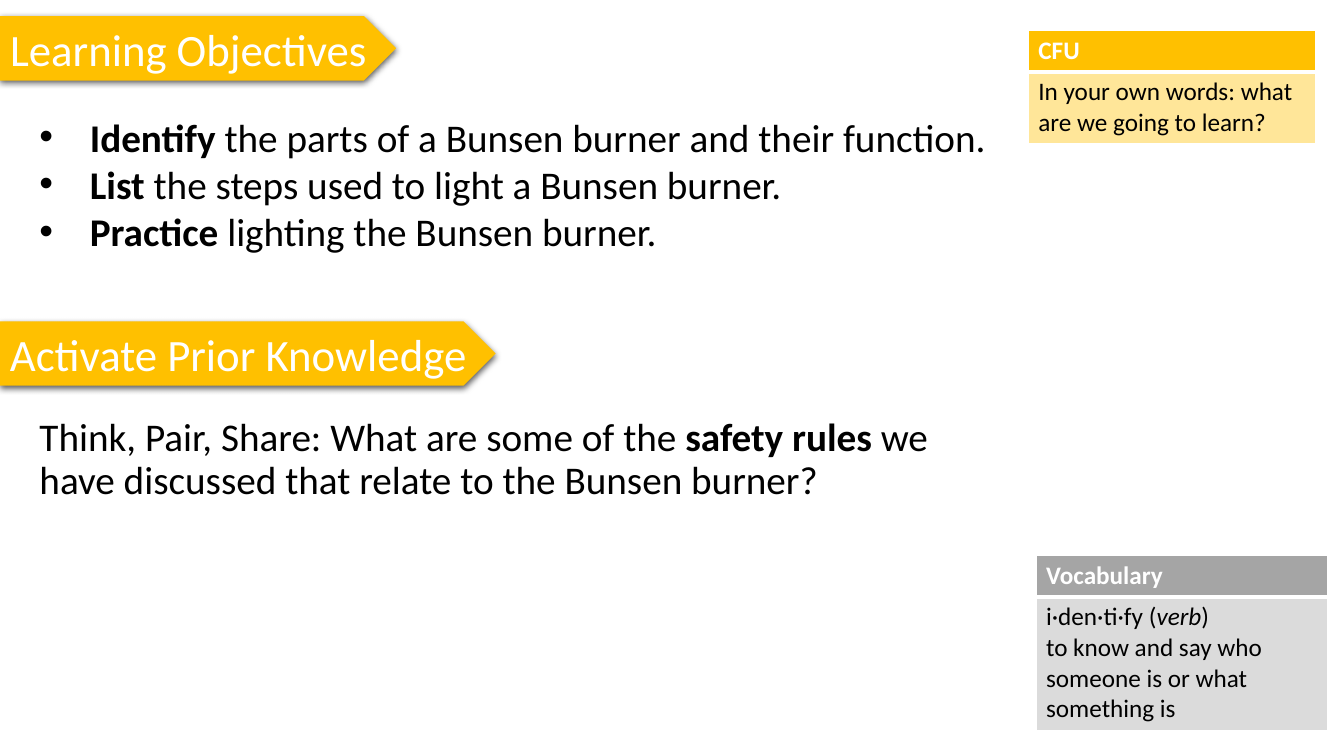
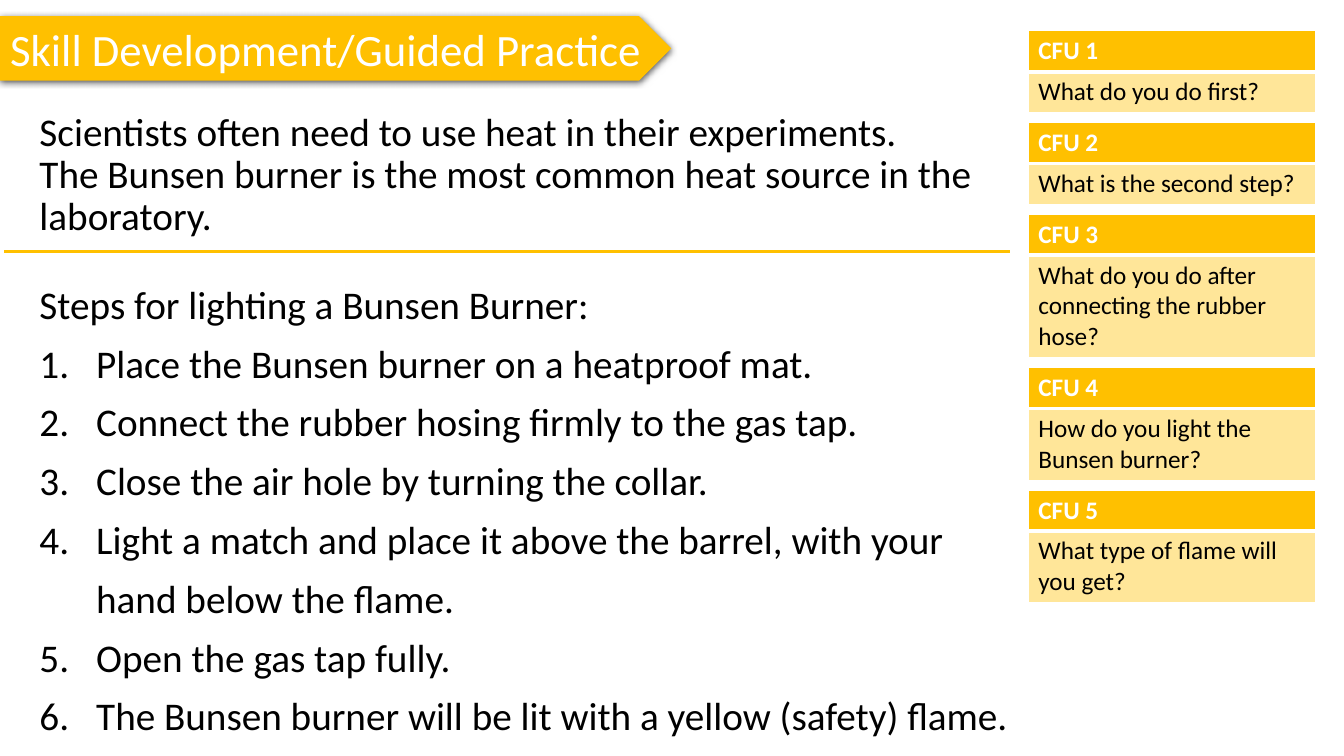
from lxml import etree
from pptx import Presentation
from pptx.dml.color import RGBColor
from pptx.enum.shapes import MSO_CONNECTOR, MSO_SHAPE
from pptx.enum.text import MSO_ANCHOR, MSO_AUTO_SIZE, PP_ALIGN
from pptx.oxml import parse_xml
from pptx.oxml.ns import nsdecls, qn
from pptx.util import Pt

PENTAGON, STRAIGHT = MSO_SHAPE.PENTAGON, MSO_CONNECTOR.STRAIGHT
TOP, MIDDLE = MSO_ANCHOR.TOP, MSO_ANCHOR.MIDDLE
LEFT, NO_FIT = PP_ALIGN.LEFT, MSO_AUTO_SIZE.NONE

COLORS = {"gold": "FFC000", "cream": "FFE699", "gray": "A5A5A5",
          "silver": "DBDBDB", "white": "FFFFFF", "black": "000000"}
FONT = "Calibri"
TITLE = {"size": Pt(32), "bold": False}
BODY = {"size": Pt(28), "bold": False}
CARD_HEAD = {"size": Pt(18), "bold": True}
CARD_TEXT = {"size": Pt(18), "bold": False}
BOLD, ITALIC = {"bold": True}, {"italic": True}

BANNER_TOP, BANNER_H = 11.5, 46
BODY_X = 21
CARD_X, CARD_TOP, CARD_W, CARD_GAP = 734.5, 22, 205, 8
HEAD_H, LINE_H, CELL_PAD = 28, 22, 7.5

BULLETS = {
    "dot": ('<a:buFont %s typeface="Arial"/>', '<a:buChar %s char="•"/>'),
    "number": ('<a:buFont %s typeface="+mj-lt"/>',
               '<a:buAutoNum %s type="arabicPeriod"/>'),
    None: ("<a:buNone %s/>",),
}


def rgb(name):
    return RGBColor.from_string(COLORS[name])


def place(s, box):
    s.left, s.top, s.width, s.height = (Pt(v) for v in box)


# Text helpers
def add_runs(p, parts, style, color):
    """Parts is a string or a list of strings and (text, style) pairs."""
    for part in [parts] if isinstance(parts, str) else parts:
        text, extra = (part, {}) if isinstance(part, str) else part
        if text == "\n":
            p.add_line_break()
            continue
        r = p.add_run()
        r.text = text
        r.font.name = FONT
        r.font.color.rgb = rgb(color)
        for key, value in {**style, **extra}.items():
            setattr(r.font, key, value)


def set_bullet(p, kind, indent):
    pPr = p._p.get_or_add_pPr()
    pPr.set("marL", str(Pt(indent)))
    pPr.set("indent", str(-Pt(indent)))
    for xml in BULLETS[kind]:
        pPr.append(parse_xml(xml % nsdecls("a")))


def fill_body(s, box, paragraphs, spacing):
    """Paragraphs are (bullet kind, indent, parts)."""
    place(s, box)
    tf = s.text_frame
    for key, value in {"word_wrap": True, "auto_size": NO_FIT,
                       "vertical_anchor": TOP}.items():
        setattr(tf, key, value)
    for i, (kind, indent, parts) in enumerate(paragraphs):
        p = tf.add_paragraph() if i else tf.paragraphs[0]
        set_bullet(p, kind, indent)
        p.alignment = LEFT
        p.line_spacing = spacing
        p.space_before = p.space_after = Pt(0)
        add_runs(p, parts, BODY, "black")


# Arrow-shaped heading, with its text in the title when one is given
def add_banner(slide, text, top, width, title=None):
    box = (0, top, width, BANNER_H)
    arrow = slide.shapes.add_shape(PENTAGON, *(Pt(v) for v in box))
    arrow.fill.solid()
    arrow.fill.fore_color.rgb = rgb("gold")
    arrow.line.fill.background()
    arrow.shadow.inherit = False
    arrow._element.spPr.find(qn("a:effectLst")).append(parse_xml(
        f'<a:outerShdw {nsdecls("a")} blurRad="{Pt(4.5)}" dist="{Pt(1.5)}" '
        f'dir="5400000" rotWithShape="0"><a:srgbClr val="{COLORS["black"]}">'
        '<a:alpha val="63000"/></a:srgbClr></a:outerShdw>'))
    if title is not None:
        place(title, box)
        title._element.addprevious(arrow._element)
    tf = (arrow if title is None else title).text_frame
    for key, value in {"word_wrap": True, "auto_size": NO_FIT,
                       "vertical_anchor": MIDDLE, "margin_right": 0}.items():
        setattr(tf, key, value)
    p = tf.paragraphs[0]
    p.alignment = LEFT
    add_runs(p, text, TITLE, "white")


# Two-row card: header over text
def fill_cell(cell, parts, style, color, fill, bottom):
    tcPr = cell._tc.get_or_add_tcPr()
    for side, width in (("L", 1), ("R", 1), ("T", 1), ("B", bottom)):
        ln = etree.SubElement(tcPr, qn("a:ln" + side), w=str(Pt(width)))
        solid = etree.SubElement(ln, qn("a:solidFill"))
        etree.SubElement(solid, qn("a:srgbClr"), val=COLORS["white"])
    cell.fill.solid()
    cell.fill.fore_color.rgb = rgb(fill)
    add_runs(cell.text_frame.paragraphs[0], parts, style, color)


def add_card(slide, x, y, width, head, parts, lines, fills=("gold", "cream")):
    """Draw a card and return the y of its bottom edge."""
    heights = (HEAD_H, CELL_PAD + LINE_H * lines)
    frame = slide.shapes.add_table(2, 1, Pt(x), Pt(y), Pt(width),
                                   Pt(sum(heights)))
    table = frame.table
    table.first_row = table.horz_banding = False
    for row, height in zip(table.rows, heights):
        row.height = Pt(height)
    fill_cell(table.cell(0, 0), head, CARD_HEAD, "white", fills[0], 3)
    fill_cell(table.cell(1, 0), parts, CARD_TEXT, "black", fills[1], 1)
    return y + sum(heights)


def add_card_stack(slide, cards):
    y = CARD_TOP
    for head, text, lines in cards:
        y = add_card(slide, CARD_X, y, CARD_W, head, text, lines) + CARD_GAP


def add_rule(slide, x1, x2, y):
    line = slide.shapes.add_connector(STRAIGHT, Pt(x1), Pt(y), Pt(x2), Pt(y))
    line.line.color.rgb = rgb("gold")
    line.line.width = Pt(2.25)
    etree.SubElement(line._element.spPr, qn("a:effectLst"))


# Slides
def build_objectives(slide):
    title, goals, question = slide.placeholders
    add_banner(slide, "Learning Objectives", BANNER_TOP, 283, title)
    add_banner(slide, "Activate Prior Knowledge", 229.5, 354)
    fill_body(goals, (BODY_X, 77, 699, 109), [
        ("dot", 36, [(verb, BOLD), rest]) for verb, rest in (
            ("Identify", " the parts of a Bunsen burner and their function."),
            ("List", " the steps used to light a Bunsen burner."),
            ("Practice", " lighting the Bunsen burner."))], 1.0)
    fill_body(question, (BODY_X, 295, 703, 77), [
        (None, 0, ["Think, Pair, Share: What are some of the ",
                   ("safety rules", BOLD),
                   " we have discussed that relate to the Bunsen burner?"])],
              0.9)
    add_card_stack(slide, [
        ("CFU", "In your own words: what are we going to learn?", 2)])
    add_card(slide, 740, 397, 208, "Vocabulary",
             ["i·den·ti·fy (", ("verb", ITALIC), ")", "\n",
              "to know and say who someone is or what something is"],
             4, ("gray", "silver"))


def build_practice(slide):
    title, intro, steps = slide.placeholders
    add_banner(slide, "Skill Development/Guided Practice", BANNER_TOP, 479.5,
               title)
    fill_body(intro, (BODY_X, 76.5, 703, 100), [
        (None, 0, "Scientists often need to use heat in their experiments."),
        (None, 0, "The Bunsen burner is the most common heat source in the "
                  "laboratory.")], 0.9)
    add_rule(slide, 3, 721.5, 179.5)
    fill_body(steps, (BODY_X, 188, 708.5, 352), [
        (None, 0, "Steps for lighting a Bunsen Burner:"),
        *(("number", 40.5, step) for step in (
            "Place the Bunsen burner on a heatproof mat.",
            "Connect the rubber hosing firmly to the gas tap.",
            "Close the air hole by turning the collar.",
            "Light a match and place it above the barrel, with your hand "
            "below the flame.",
            "Open the gas tap fully.",
            "The Bunsen burner will be lit with a yellow (safety) flame."))],
              1.25)
    add_card_stack(slide, [
        ("CFU 1", "What do you do first?", 1),
        ("CFU 2", "What is the second step?", 1),
        ("CFU 3", "What do you do after connecting the rubber hose?", 3),
        ("CFU 4", "How do you light the Bunsen burner?", 2),
        ("CFU 5", "What type of flame will you get?", 2)])


def main():
    prs = Presentation()
    prs.slide_width, prs.slide_height = Pt(960), Pt(540)
    two_content = prs.slide_layouts[3]
    for build in (build_objectives, build_practice):
        build(prs.slides.add_slide(two_content))
    prs.save("out.pptx")


if __name__ == "__main__":
    main()
